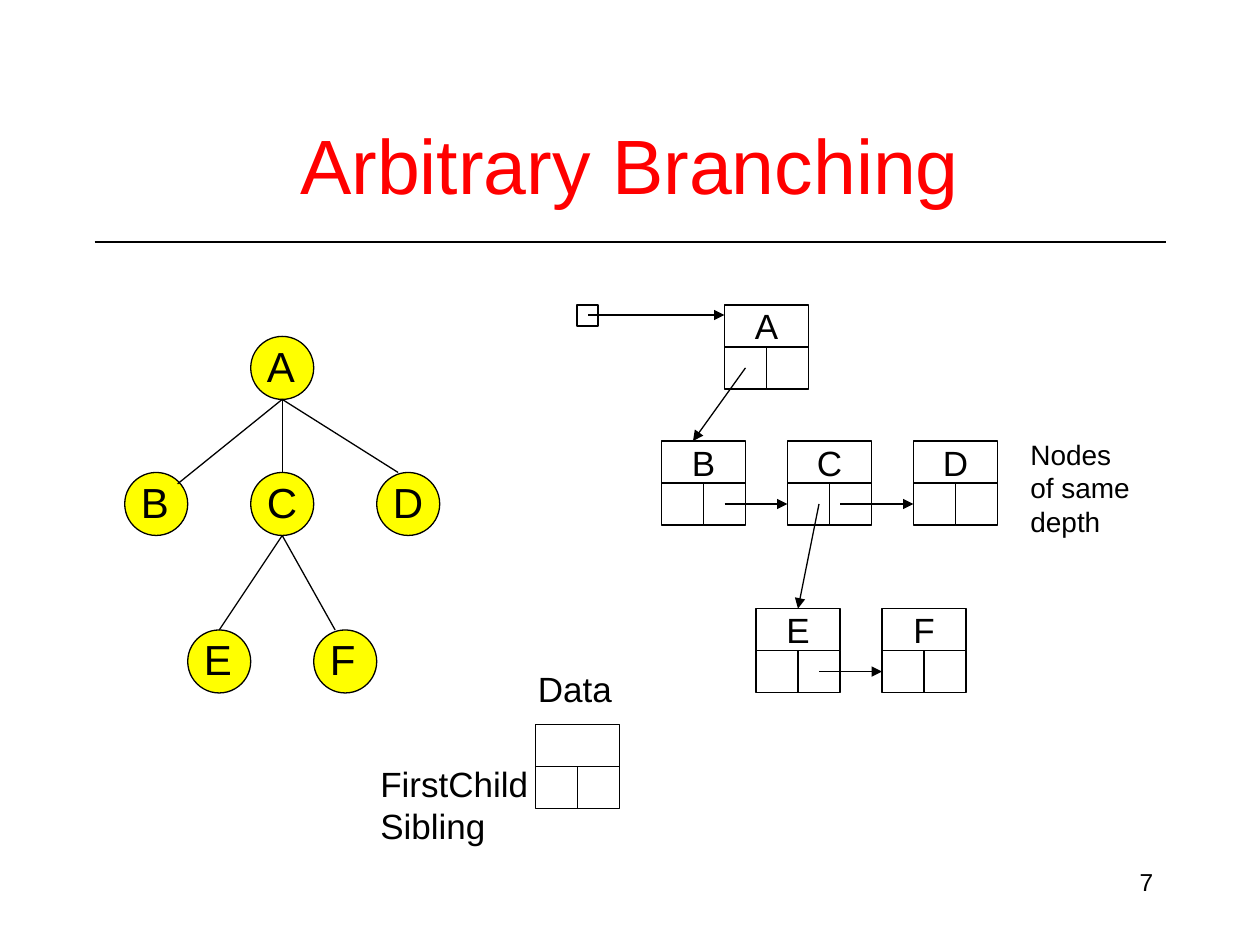
from dataclasses import dataclass

from lxml.etree import SubElement
from pptx import Presentation
from pptx.dml.color import RGBColor
from pptx.enum.shapes import MSO_CONNECTOR as CONN, MSO_SHAPE as SHAPE
from pptx.enum.text import MSO_ANCHOR as ANCHOR, PP_ALIGN as ALIGN
from pptx.oxml.ns import qn
from pptx.util import Inches, Pt


@dataclass(frozen=True)
class Theme:
    """Colours, type sizes and line width."""
    font: str = "Arial"
    ink: str = "000000"
    title: str = "FF0000"
    node: str = "FFFF00"
    title_pt: int = 44
    tree_pt: int = 24
    body_pt: int = 20
    note_pt: int = 16
    number_pt: int = 14
    line_pt: float = 0.75


THEME = Theme()
DIAMETER = 0.5
CELL = 1 / 3

TREE = {"A": (1.99, 2.67), "B": (0.99, 3.75), "C": (1.99, 3.75),
        "D": (2.99, 3.75), "E": (1.49, 5), "F": (2.49, 5)}
# Parent, child, and shift of the end from the top of the child
BRANCHES = [("A", "B", 0.17, 0.09), ("A", "C", 0, 0), ("A", "D", -0.08, 0),
            ("C", "E", 0, 0), ("C", "F", -0.08, 0)]

RECORDS = {"A": (5.75, 2.42), "B": (5.25, 3.5), "C": (6.25, 3.5),
           "D": (7.25, 3.5), "E": (6, 4.83), "F": (7, 4.83)}
# Source, start offset across, target, end offset across and down
POINTERS = [("A", CELL / 2, "B", 0.25, 0), ("B", 0.5, "C", 0, 0.5),
            ("C", 0.42, "D", 0, 0.5), ("C", 0.25, "E", CELL, 0),
            ("E", 0.5, "F", 0, 0.5)]


def set_all(obj, values):
    """Set each named attribute on an object."""
    for name, value in values.items():
        setattr(obj, name, value)


def write(sp, text, size, color=THEME.ink, align=ALIGN.LEFT,
          anchor=ANCHOR.TOP, wrap=True):
    """Put one formatted paragraph into a shape."""
    tf = sp.text_frame
    set_all(tf, {"word_wrap": wrap, "vertical_anchor": anchor})
    p = tf.paragraphs[0]
    p.text = text
    p.alignment = align
    for r in p.runs:
        set_all(r.font, {"name": THEME.font, "size": Pt(size)})
        r.font.color.rgb = RGBColor.from_string(color)


def add_text(s, box, text, size, **fmt):
    """Add a text box."""
    write(s.shapes.add_textbox(*map(Inches, box)), text, size, **fmt)


def style_line(line):
    """Apply the common line colour and width."""
    line.color.rgb = RGBColor.from_string(THEME.ink)
    line.width = Pt(THEME.line_pt)


def add_outline(s, kind, box, fill=None):
    """Add an outlined shape, filled if a colour is given."""
    sp = s.shapes.add_shape(kind, *map(Inches, box))
    sp.shadow.inherit = False
    style_line(sp.line)
    if fill:
        sp.fill.solid()
        sp.fill.fore_color.rgb = RGBColor.from_string(fill)
    else:
        sp.fill.background()
    return sp


def add_line(s, start, end, arrow=False):
    """Add a straight line, with an arrowhead at its end if wanted."""
    cx = s.shapes.add_connector(CONN.STRAIGHT, *map(Inches, (*start, *end)))
    style_line(cx.line)
    if arrow:
        SubElement(cx.line._get_or_add_ln(), qn("a:tailEnd"), type="triangle")
    SubElement(cx._element.spPr, qn("a:effectLst"))


def add_record(s, x, y, label=""):
    """Add a data cell above its first-child and sibling cells."""
    for left in (x, x + CELL):
        add_outline(s, SHAPE.RECTANGLE, (left, y + CELL, CELL, CELL))
    sp = add_outline(s, SHAPE.RECTANGLE, (x, y, 2 * CELL, CELL))
    if label:
        write(sp, label, THEME.body_pt, align=ALIGN.CENTER,
              anchor=ANCHOR.MIDDLE, wrap=False)


def add_tree(s):
    """Draw the branching tree."""
    for x, y in TREE.values():
        add_outline(s, SHAPE.OVAL, (x, y, DIAMETER, DIAMETER), THEME.node)
    radius = DIAMETER / 2
    for parent, child, dx, dy in BRANCHES:
        (px, py), (cx, cy) = TREE[parent], TREE[child]
        add_line(s, (px + radius, py + DIAMETER), (cx + radius + dx, cy + dy))
    for label, (x, y) in TREE.items():
        add_text(s, (x + 0.03, y - 0.02, 0.44, 0.5), label, THEME.tree_pt)


def add_linked_records(s):
    """Draw the first-child and sibling records with their pointers."""
    for label, (x, y) in RECORDS.items():
        add_record(s, x, y, label)
    for source, start, target, dx, dy in POINTERS:
        (sx, sy), (tx, ty) = RECORDS[source], RECORDS[target]
        add_line(s, (sx + start, sy + 0.5), (tx + dx, ty + dy), arrow=True)
    add_outline(s, SHAPE.RECTANGLE, (4.58, 2.42, CELL / 2, CELL / 2))
    add_line(s, (4.67, 2.5), (5.75, 2.5), arrow=True)


def add_legend(s):
    """Draw the sample record with its field names."""
    add_record(s, 4.25, 5.75)
    add_text(s, (4.17, 5.25, 0.79, 0.43), "Data", THEME.body_pt, wrap=False)
    add_text(s, (2.92, 6, 1.4, 0.77), "FirstChild\vSibling", THEME.body_pt,
             wrap=False)


def main():
    """Build and save the slide."""
    prs = Presentation()
    set_all(prs, {"slide_width": Inches(10), "slide_height": Inches(7.5)})
    s = prs.slides.add_slide(prs.slide_layouts[6])
    add_line(s, (0.75, 1.92), (9.25, 1.92))
    add_text(s, (7.17, 6.83, 2.08, 0.5), "7", THEME.number_pt,
             align=ALIGN.RIGHT)
    add_text(s, (0.75, 0.67, 8.5, 1.25), "Arbitrary Branching",
             THEME.title_pt, color=THEME.title, align=ALIGN.CENTER,
             anchor=ANCHOR.MIDDLE)
    add_tree(s)
    add_linked_records(s)
    add_legend(s)
    add_text(s, (8.08, 3.42, 1, 0.9), "Nodes of same depth", THEME.note_pt)
    prs.save("out.pptx")


main()
